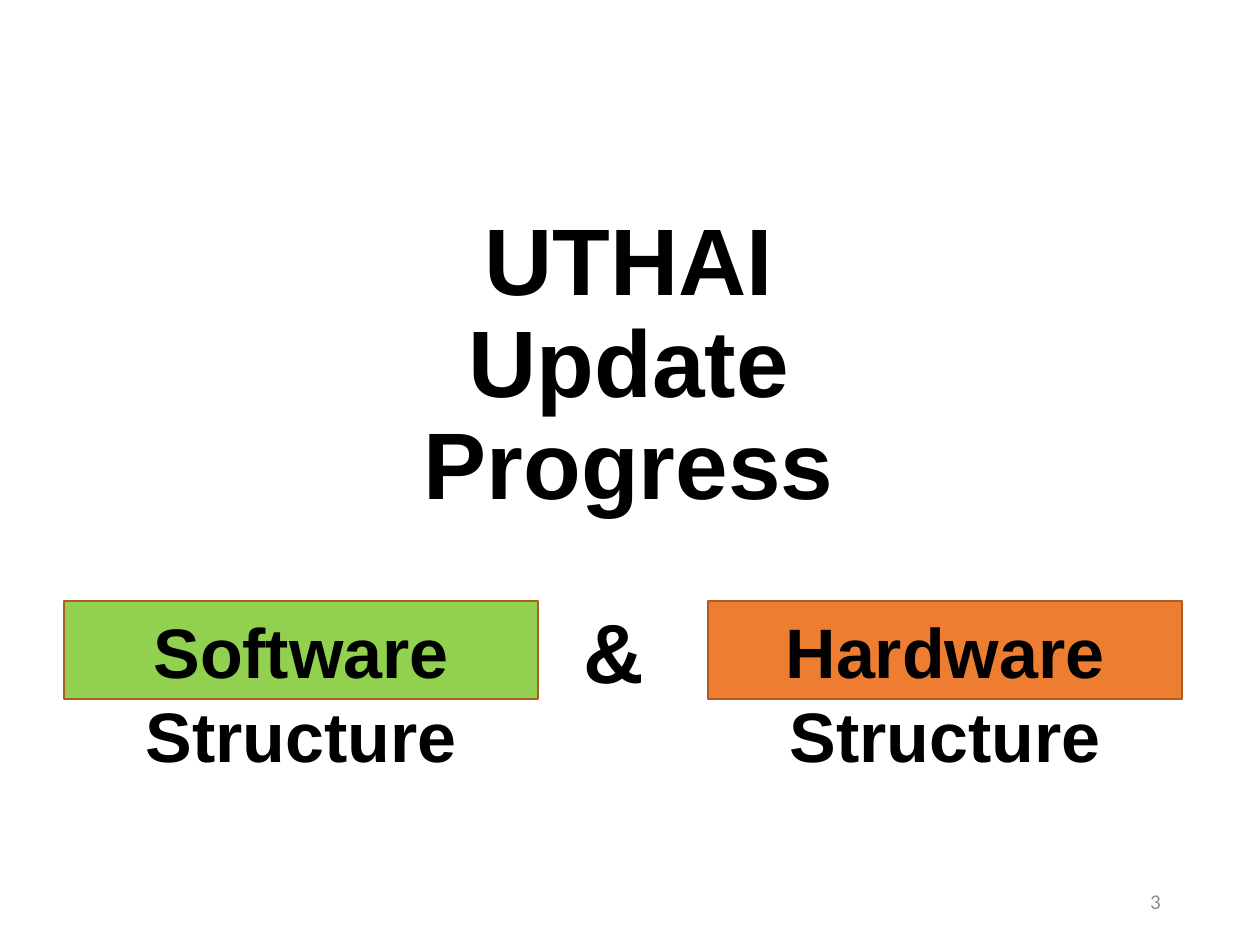
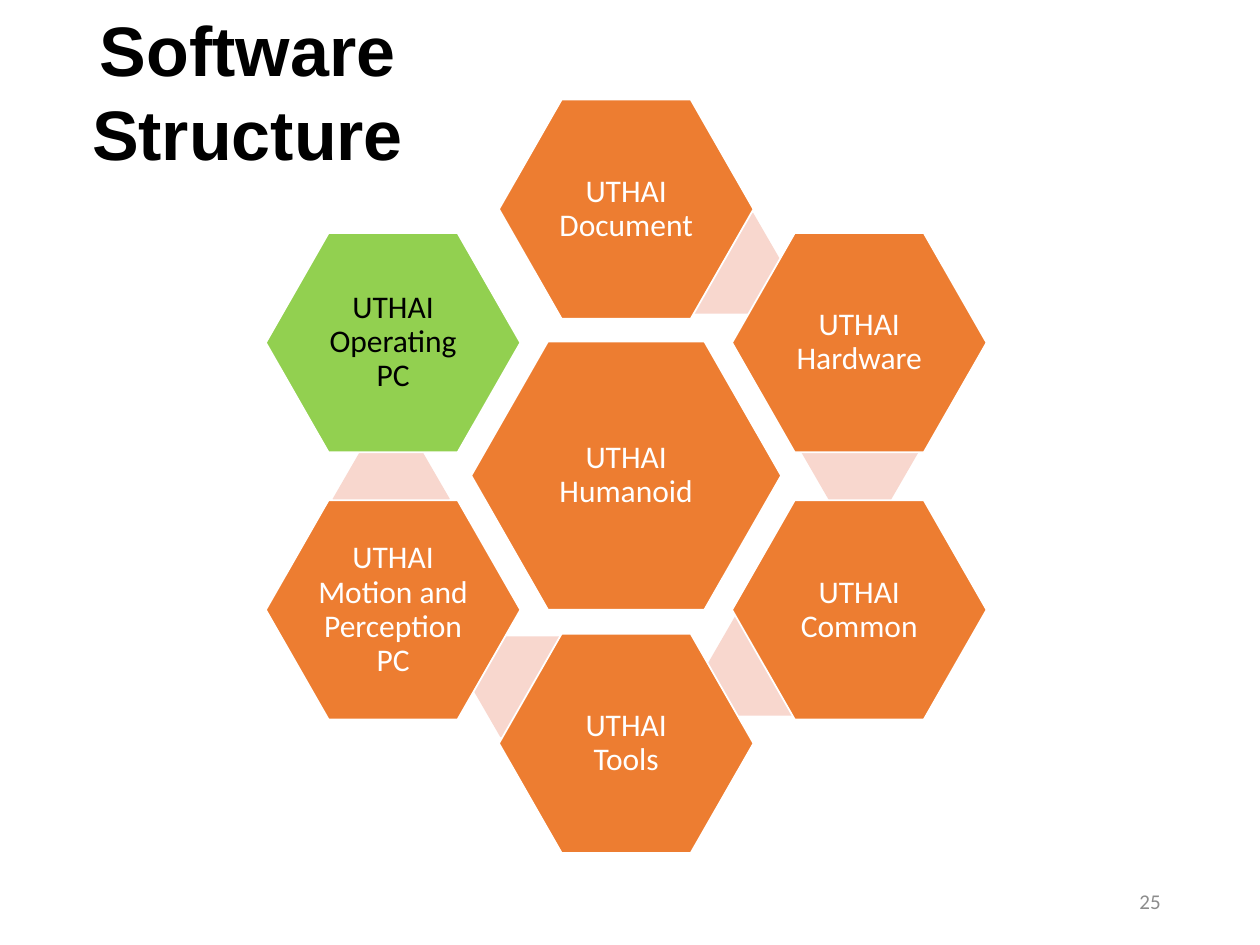
"""Build the UTHAI progress slide and the software structure slide."""
from pptx import Presentation
from pptx.dml.color import RGBColor as Rgb
from pptx.enum.shapes import MSO_SHAPE as Kind
from pptx.enum.text import MSO_ANCHOR as Anchor, PP_ALIGN as Align
from pptx.util import Emu, Pt


class Theme:
    orange, green, pink = "ED7D31", "92D050", "F8D7CE"
    black, white, grey, brown = "000000", "FFFFFF", "8C8C8C", "AF5C24"
    head, body = "Arial", "Calibri"
    title, sign, label, node, foot = 54, 48, 40, 18, 12


PX = 9144


def write(box, text, size, face, ink, bold=False, align=Align.CENTER,
          anchor=Anchor.TOP, space=1.0, inset=(10, 5)):
    frame = box.text_frame
    side, edge = (Emu(n * PX) for n in inset)
    form = {"word_wrap": True, "vertical_anchor": anchor,
            "margin_left": side, "margin_right": side,
            "margin_top": edge, "margin_bottom": edge}
    for name, value in form.items():
        setattr(frame, name, value)
    para = frame.paragraphs[0]
    para.alignment, para.line_spacing = align, space
    for row, line in enumerate(text.splitlines()):
        if row:
            para.add_line_break()
        run = para.add_run()
        run.text = line
        for name, value in {"size": Pt(size), "name": face, "bold": bold}.items():
            setattr(run.font, name, value)
        run.font.color.rgb = Rgb.from_string(ink)


def draw(slide, kind, place, fill, edge=None, adjust=()):
    shape = slide.shapes.add_shape(kind, *(Emu(n * PX) for n in place))
    shape.shadow.inherit = False
    shape.fill.solid()
    shape.fill.fore_color.rgb = Rgb.from_string(fill)
    if edge:
        shape.line.color.rgb = Rgb.from_string(edge)
        shape.line.width = Pt(1)
    else:
        shape.line.fill.background()
    for i, value in enumerate(adjust):
        shape.adjustments[i] = value
    return shape


deck = Presentation()
deck.slide_width, deck.slide_height = Emu(1000 * PX), Emu(750 * PX)
blank = deck.slide_layouts[6]
cover, map_ = (deck.slides.add_slide(blank) for _ in range(2))

heading = {"face": Theme.head, "ink": Theme.black, "bold": True}
middle = {"anchor": Anchor.MIDDLE, "space": 0.9}

parts = [(51, Theme.green, "Software Structure"),
         (562, Theme.orange, "Hardware Structure")]
for left, fill, name in parts:
    part = draw(cover, Kind.RECTANGLE, (left, 477, 376, 78), fill, Theme.brown)
    write(part, name, Theme.label, **heading, inset=(0, 6))

foot = {"face": Theme.body, "ink": Theme.grey, "align": Align.RIGHT,
        "anchor": Anchor.MIDDLE}
texts = [
    (cover, (193, 165, 612, 253), "UTHAI\nUpdate Progress", Theme.title,
     heading | middle),
    (cover, (450, 471, 74, 91), "&", Theme.sign, heading),
    (cover, (706, 695, 225, 40), "3", Theme.foot, foot),
    (map_, (0, 0, 393, 77), "Software Structure", Theme.label, heading),
    (map_, (706, 695, 225, 40), "25", Theme.foot, foot),
]
for slide, place, text, size, form in texts:
    box = slide.shapes.add_textbox(*(Emu(n * PX) for n in place))
    write(box, text, size, **form)

cell = {"size": Theme.node, "face": Theme.body, "inset": (3, 3)} | middle
hexes = (0.286, 1.155)
core = draw(map_, Kind.HEXAGON, (374, 271, 246, 213), Theme.orange,
            Theme.white, hexes)
write(core, "UTHAI\nHumanoid", ink=Theme.white, **cell)

ring = [
    ("Document", 0, -2, (528, 169)),
    ("Hardware", 1, -1, (636, 319)),
    ("Common", 1, 1, (561, 488)),
    ("Tools", 0, 2, (374, 505)),
    ("Motion and Perception PC", -1, 1, (264, 356)),
    ("Operating PC", -1, -1, None),
]
for name, col, row, link in ring:
    if link:
        draw(map_, Kind.HEXAGON, (*link, 93, 80), Theme.pink,
             adjust=(0.289, 1.155))
    fill, ink = ((Theme.orange, Theme.white) if link
                 else (Theme.green, Theme.black))
    node = draw(map_, Kind.HEXAGON, (396 + 185 * col, 291 + 106 * row, 202, 174),
                fill, Theme.white, hexes)
    write(node, f"UTHAI\n{name}", ink=ink, **cell)

deck.save("out.pptx")
